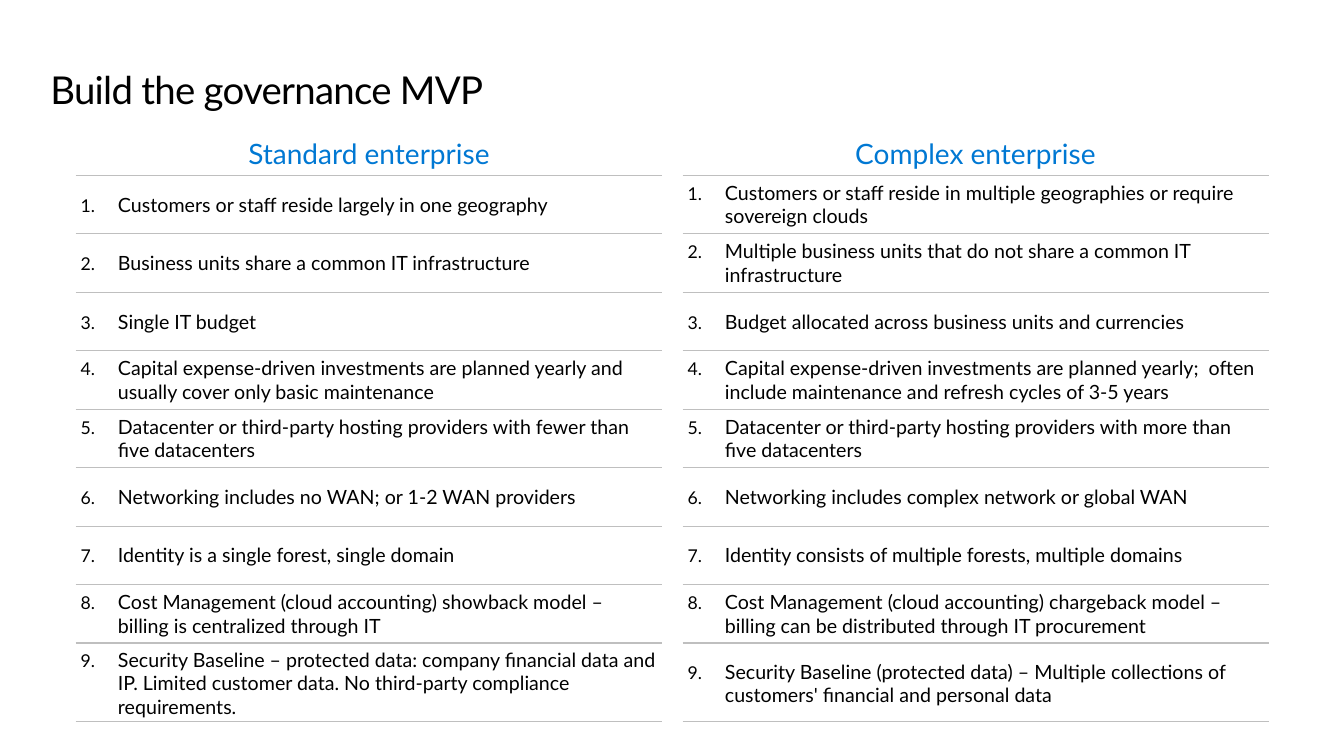
from lxml import etree
from pptx import Presentation
from pptx.dml.color import RGBColor
from pptx.enum.text import MSO_ANCHOR, MSO_AUTO_SIZE, PP_ALIGN
from pptx.oxml.ns import qn
from pptx.util import Inches, Pt

TOP, MIDDLE = MSO_ANCHOR.TOP, MSO_ANCHOR.MIDDLE
LEFT, CENTER = PP_ALIGN.LEFT, PP_ALIGN.CENTER
NO_FIT = MSO_AUTO_SIZE.NONE
PLAIN = "{2D5ABB26-0587-4C30-8999-92F81FD0307C}"
BLACK, BLUE, GRAY = "000000", "0078D3", "BFBFBF"
HEADS = ["Standard enterprise", "Complex enterprise"]
ROWS = [
    ("Customers or staff reside largely in one geography",
     "Customers or staff reside in multiple geographies or require sovereign clouds"),
    ("Business units share a common IT infrastructure",
     "Multiple business units that do not share a common IT infrastructure"),
    ("Single IT budget",
     "Budget allocated across business units and currencies"),
    ("Capital expense-driven investments are planned yearly and usually cover only basic maintenance",
     "Capital expense-driven investments are planned yearly;  often include maintenance and refresh cycles of 3-5 years"),
    ("Datacenter or third-party hosting providers with fewer than five datacenters",
     "Datacenter or third-party hosting providers with more than five datacenters"),
    ("Networking includes no WAN; or 1-2 WAN providers",
     "Networking includes complex network or global WAN"),
    ("Identity is a single forest, single domain",
     "Identity consists of multiple forests, multiple domains"),
    ("Cost Management (cloud accounting) showback model – billing is centralized through IT",
     "Cost Management (cloud accounting) chargeback model – billing can be distributed through IT procurement"),
    ("Security Baseline – protected data: company financial data and IP. Limited customer data. No third-party compliance requirements.",
     "Security Baseline (protected data) – Multiple collections of customers' financial and personal data"),
]
HEIGHTS = [0.44] + [0.58] * 8 + [0.78]


def color(code):
    """Turn a hex string into a colour."""
    return RGBColor.from_string(code)


class Page:
    """Holds the style and the current slide."""

    def __init__(self, slide, font):
        """Keep the slide and its font."""
        self.slide, self.font = slide, font

    def style(self, para, size, code):
        """Format the runs of a paragraph."""
        for run in para.runs:
            run.font.name = self.font
            run.font.size = Pt(size)
            run.font.color.rgb = color(code)

    def title(self, text, box, size):
        """Place and fill the title."""
        shape = self.slide.shapes.title
        shape.left, shape.top, shape.width, shape.height = map(Inches, box)
        frame = shape.text_frame
        frame.text = text
        frame.word_wrap = True
        frame.auto_size = NO_FIT
        frame.vertical_anchor = TOP
        frame.margin_left, frame.margin_right = 0, Inches(0.16)
        frame.margin_top = frame.margin_bottom = Inches(0.1)
        para = frame.paragraphs[0]
        para.alignment = LEFT
        para.line_spacing = 0.9
        self.style(para, size, BLACK)
        for run in para.runs:
            run.font._element.set("spc", "-50")

    def table(self, left, top, widths, heights):
        """Add an unfilled table without a grid."""
        box = map(Inches, (left, top, sum(widths), sum(heights)))
        shape = self.slide.shapes.add_table(len(heights), len(widths), *box)
        shape.element.xpath(".//a:tableStyleId")[0].text = PLAIN
        table = shape.table
        table.first_row = table.horz_banding = False
        for col, width in zip(table.columns, widths):
            col.width = Inches(width)
        for row, height in zip(table.rows, heights):
            row.height = Inches(height)
        for cell in table.iter_cells():
            cell.fill.background()
            cell.vertical_anchor = MIDDLE
            cell.margin_left = cell.margin_right = Inches(0.05)
            cell.margin_top = cell.margin_bottom = Inches(0.05)
        return table

    def rule(self, cell, code):
        """Draw a thin line under a cell."""
        line = etree.Element(qn("a:lnB"), w=str(Pt(1)))
        fill = etree.SubElement(line, qn("a:solidFill"))
        etree.SubElement(fill, qn("a:srgbClr"), val=code)
        cell._tc.get_or_add_tcPr().insert(0, line)

    def head(self, cell, text, indent):
        """Fill a centred column heading."""
        cell.text = text
        para = cell.text_frame.paragraphs[0]
        para.alignment = CENTER
        para._p.get_or_add_pPr().set("marL", str(Inches(indent)))
        self.style(para, 20, BLUE)

    def item(self, cell, text, start, indent):
        """Fill a cell with one numbered line."""
        cell.text = text
        para = cell.text_frame.paragraphs[0]
        props = para._p.get_or_add_pPr()
        props.set("marL", str(Inches(indent)))
        props.set("indent", str(Inches(-0.37)))
        etree.SubElement(props, qn("a:buSzPct"), val="90000")
        etree.SubElement(props, qn("a:buAutoNum"), type="arabicPeriod", startAt=str(start))
        self.style(para, 14, BLACK)


def main():
    """Build and save the slide."""
    deck = Presentation()
    deck.slide_width, deck.slide_height = Inches(13.33), Inches(7.5)
    page = Page(deck.slides.add_slide(deck.slide_layouts[5]), "Lato")
    page.title("Build the governance MVP", (0.5, 0.61, 12.36, 0.89), 27.4)
    lines = page.table(0.75, 1.3, [5.82, 0.2, 5.82], HEIGHTS)
    for row in range(len(HEIGHTS)):
        for col in (0, 2):
            page.rule(lines.cell(row, col), GRAY)
    grid = page.table(0.75, 1.3, [5.82, 5.96], HEIGHTS)
    for col, text in enumerate(HEADS):
        page.head(grid.cell(0, col), text, 0.25 * col)
    for num, pair in enumerate(ROWS, 1):
        for col, text in enumerate(pair):
            page.item(grid.cell(num, col), text, num, 0.37 + 0.2 * col)
    deck.save("out.pptx")


if __name__ == "__main__":
    main()
